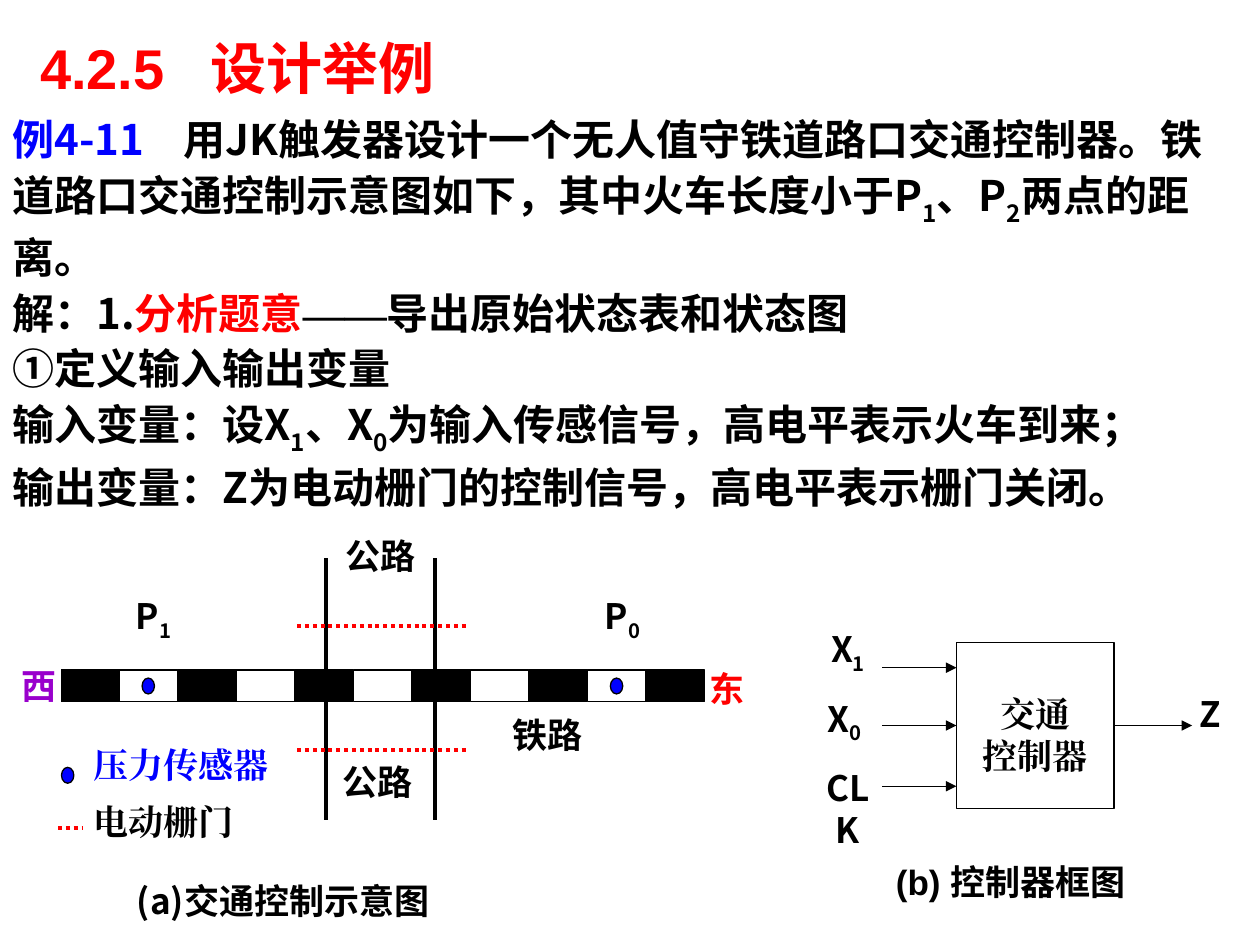
from dataclasses import dataclass

from lxml.etree import SubElement
from pptx import Presentation
from pptx.dml.color import RGBColor
from pptx.enum.dml import MSO_LINE
from pptx.enum.shapes import MSO_CONNECTOR, MSO_SHAPE
from pptx.enum.text import MSO_ANCHOR, PP_ALIGN
from pptx.oxml.ns import qn
from pptx.util import Cm, Pt


@dataclass(frozen=True)
class Theme:
    """Colours, fonts and type sizes of the slide."""

    black: str = "000000"
    white: str = "FFFFFF"
    red: str = "FF0000"
    blue: str = "0000FF"
    purple: str = "9900CC"
    sans: str = "Noto Sans CJK SC"
    serif: str = "Times New Roman"
    heading: str = "Arial"
    title: int = 32
    body: int = 24
    label: int = 20
    thin: float = 0.75
    thick: float = 2.25


THEME = Theme()


def write(paragraph, text, color=THEME.black, font=THEME.sans, size=THEME.label):
    """Append bold text; the character after each underscore is a subscript."""
    first, *rest = text.split("_")
    pieces = [(first, False)]
    for piece in rest:
        pieces += [(piece[0], True), (piece[1:], False)]
    for piece, is_subscript in pieces:
        if not piece:
            continue
        run = paragraph.add_run()
        run.text = piece
        run.font.size = Pt(size)
        run.font.bold = True
        run.font.color.rgb = RGBColor.from_string(color)
        run.font.name = font
        properties = run.font._element
        SubElement(properties, qn("a:ea"), typeface=font)
        if is_subscript:
            properties.set("baseline", "-25000")


def set_tab(paragraph, position):
    """Put one left tab stop in a paragraph."""
    tabs = SubElement(paragraph._p.get_or_add_pPr(), qn("a:tabLst"))
    SubElement(tabs, qn("a:tab"), pos=str(Cm(position)), algn="l")


def add_panel(slide, box, fill=THEME.white, line=THEME.black, kind=MSO_SHAPE.RECTANGLE):
    """Draw a filled shape with a thin outline."""
    panel = slide.shapes.add_shape(kind, *map(Cm, box))
    panel.shadow.inherit = False
    panel.fill.solid()
    panel.fill.fore_color.rgb = RGBColor.from_string(fill)
    panel.line.color.rgb = RGBColor.from_string(line)
    panel.line.width = Pt(THEME.thin)
    return panel


def fill_text(panel, lines, align=PP_ALIGN.LEFT, gap=0, **style):
    """Write one paragraph per (text, colour) pair, from the top without insets."""
    frame = panel.text_frame
    frame.word_wrap = True
    frame.vertical_anchor = MSO_ANCHOR.TOP
    frame.margin_left = frame.margin_right = frame.margin_top = frame.margin_bottom = 0
    for index, (text, color) in enumerate(lines):
        paragraph = frame.add_paragraph() if index else frame.paragraphs[0]
        paragraph.alignment = align
        if index and gap:
            paragraph.space_before = Pt(gap)
        write(paragraph, text, color=color, **style)
    return frame


def add_label(slide, box, *lines, **style):
    """Place lines of text on a white panel."""
    return fill_text(add_panel(slide, box, line=THEME.white), lines, **style)


def add_line(slide, start, end, color=THEME.black, width=THEME.thin, dash=None, arrow=False):
    """Draw a straight line, optionally dashed or with an arrowhead."""
    line = slide.shapes.add_connector(MSO_CONNECTOR.STRAIGHT, *map(Cm, (*start, *end)))
    line.line.color.rgb = RGBColor.from_string(color)
    line.line.width = Pt(width)
    if dash:
        line.line.dash_style = dash
    if arrow:
        SubElement(line.line._get_or_add_ln(), qn("a:tailEnd"), type="triangle")
    SubElement(line._element.spPr, qn("a:effectLst"))
    return line


def add_title(slide, box):
    """Write the section heading."""
    frame = slide.shapes.add_textbox(*map(Cm, box)).text_frame
    frame.word_wrap = True
    frame.vertical_anchor = MSO_ANCHOR.MIDDLE
    heading = frame.paragraphs[0]
    set_tab(heading, 3.43)
    write(heading, "4.2.5\t设计举例", color=THEME.red, font=THEME.heading, size=THEME.title)


def add_problem(slide, box):
    """Write the problem statement and the first step of its solution."""
    statement = [
        [("例4-11\t", {"color": THEME.blue}),
         ("用JK触发器设计一个无人值守铁道路口交通控制器。"
          "铁道路口交通控制示意图如下，其中火车长度小于P_1、P_2两点的距离。", {})],
        [("解：1.", {}), ("分析题意", {"color": THEME.red}),
         ("——", {"font": THEME.serif}), ("导出原始状态表和状态图", {})],
        [("①定义输入输出变量", {})],
        [("输入变量：设X_1、X_0为输入传感信号，高电平表示火车到来；", {})],
        [("输出变量：Z为电动栅门的控制信号，高电平表示栅门关闭。", {})],
    ]
    frame = slide.shapes.add_textbox(*map(Cm, box)).text_frame
    frame.word_wrap = True
    frame.vertical_anchor = MSO_ANCHOR.MIDDLE
    for index, parts in enumerate(statement):
        paragraph = frame.add_paragraph() if index else frame.paragraphs[0]
        paragraph.line_spacing = 1.1
        if index == 0:
            set_tab(paragraph, 3.45)
        for text, style in parts:
            write(paragraph, text, size=THEME.body, **style)


def add_crossing(slide, box):
    """Draw the railway crossing with its sensors, gates and legend."""
    left, top, width, height = box
    track_left, track_top = left + 0.79, top + 2.74
    tile_width, tile_height, tile_count = 1.18, 0.64, 11
    sensor_width, sensor_height = 0.25, 0.32
    gate = {"color": THEME.red, "width": THEME.thick, "dash": MSO_LINE.ROUND_DOT}

    for index in range(tile_count):
        add_panel(slide, (track_left + index * tile_width, track_top, tile_width, tile_height),
                  fill=THEME.white if index % 2 else THEME.black)
    for text, x, y, label_width, color in (
        ("P_1", 2.31, 1.22, 0.79, THEME.black),
        ("P_0", 11.76, 1.22, 0.79, THEME.black),
        ("西", 0, 2.62, 0.79, THEME.purple),
        ("东", 13.87, 2.69, 0.79, THEME.red),
        ("公路", 6.53, 0, 1.65, THEME.black),
        ("公路", 6.48, 4.57, 1.65, THEME.black),
        ("铁路", 9.91, 3.61, 1.65, THEME.black),
    ):
        add_label(slide, (left + x, top + y, label_width, 1.27), (text, color))
    add_label(slide, (left + 1.45, top + 4.22, 3.71, 2.18),
              ("压力传感器", THEME.blue), ("电动栅门", THEME.black), gap=8.8, font=THEME.serif)

    sensor_tops = track_top + (tile_height - sensor_height) / 2
    sensors = [(track_left + (tile + 0.5) * tile_width - sensor_width / 2, sensor_tops)
               for tile in (1, 9)]
    for x, y in [*sensors, (left + 0.81, top + 4.7)]:
        add_panel(slide, (x, y, sensor_width, sensor_height),
                  fill=THEME.blue, kind=MSO_SHAPE.OVAL)
    for x in (left + 6.15, left + 8.33):
        add_line(slide, (x, top + 0.48), (x, top + height), width=THEME.thick)
    for start, end, y in ((5.56, 8.99, 1.85), (5.56, 8.99, 4.34), (0.74, 1.25, 5.92)):
        add_line(slide, (left + start, top + y), (left + end, top + y), **gate)


def add_controller(slide, box):
    """Draw the controller block with its inputs and output."""
    left, top, width, height = box
    block_left, block_top, block_width, block_height = left + 2.77, top + 0.3, 3.18, 3.35
    middle = block_top + block_height / 2
    block = add_panel(slide, (block_left, block_top, block_width, block_height))
    block_text = fill_text(block, [("交通", THEME.black), ("控制器", THEME.black)],
                           align=PP_ALIGN.CENTER, font=THEME.serif)
    block_text.vertical_anchor = MSO_ANCHOR.MIDDLE
    block_text.margin_top = Cm(0.35)
    add_label(slide, (left, top, 1.17, height),
              *((name, THEME.black) for name in ("X_1", "X_0 ", "CLK")),
              align=PP_ALIGN.CENTER, gap=12.5)
    add_label(slide, (left + width - 0.53, top + 1.32, 0.53, 1.27), ("Z", THEME.black))
    for y in (top + 0.81, middle, top + 3.2):
        signal = add_line(slide, (left + 1.27, y), (block_left, y), arrow=True)
        if y == middle:
            signal.end_connect(block, 1)
    output = add_line(slide, (block_left + block_width, middle),
                      (left + width - 0.68, middle), arrow=True)
    output.begin_connect(block, 3)


def main():
    """Build the slide and save it."""
    deck = Presentation()
    deck.slide_width, deck.slide_height = Cm(25.4), Cm(19.05)
    slide = deck.slides.add_slide(deck.slide_layouts[6])
    add_title(slide, (0.56, 0.56, 22.86, 1.6))
    add_problem(slide, (0, 1.5, 24.89, 9.5))
    add_crossing(slide, (0.43, 10.77, 14.66, 5.77))
    add_controller(slide, (16.51, 12.65, 8.2, 3.61))
    add_label(slide, (2.76, 17.73, 7.14, 1.32), ("(a)交通控制示意图", THEME.black))
    add_label(slide, (18.06, 17.35, 7.34, 0.84), ("(b) 控制器框图", THEME.black),
              font=THEME.heading)
    deck.save("out.pptx")


if __name__ == "__main__":
    main()
